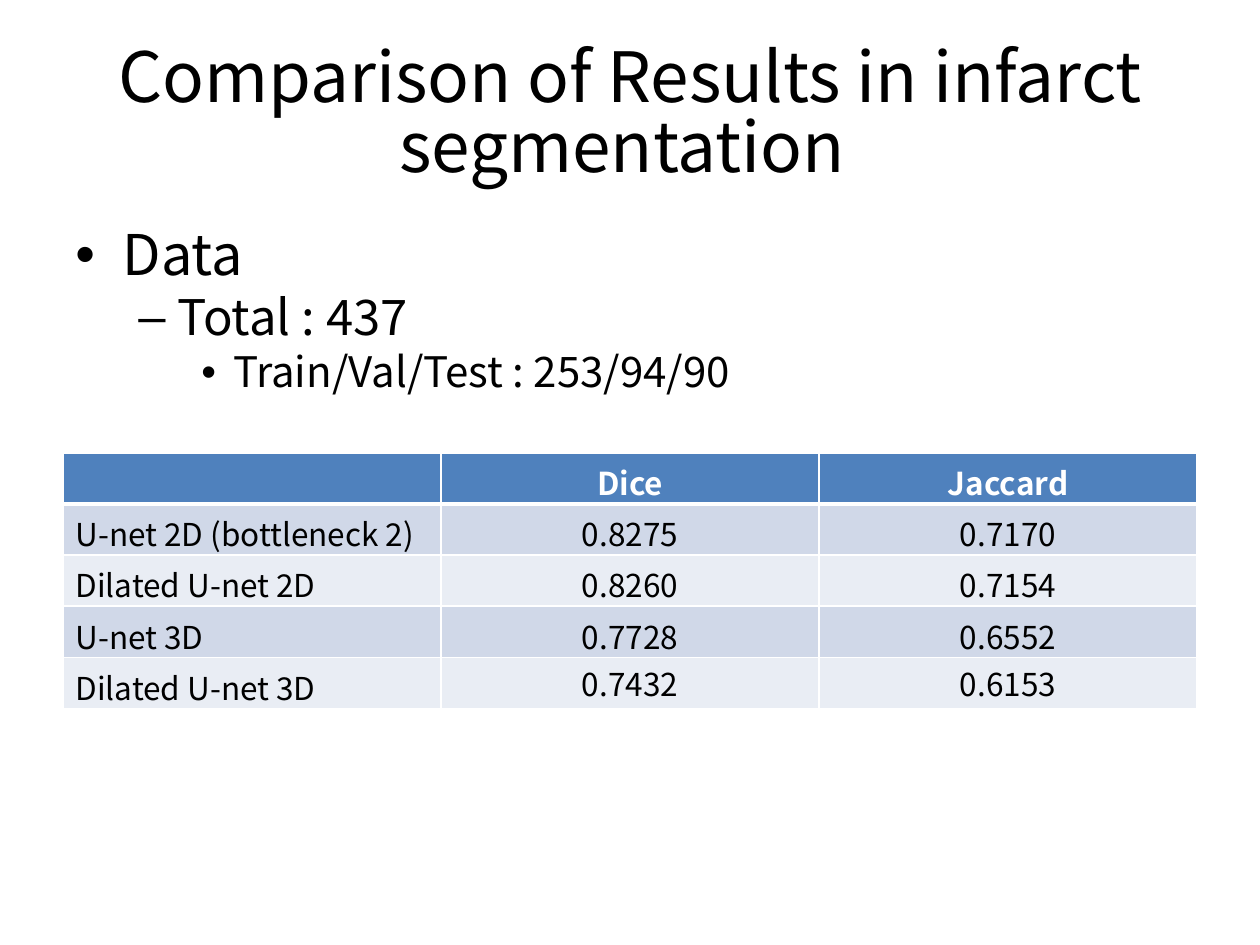
from lxml import etree
from pptx import Presentation, util as u
from pptx.dml.color import RGBColor
from pptx.enum import text
from pptx.oxml.ns import qn

ALIGN, ANCHOR = text.PP_ALIGN, text.MSO_ANCHOR


def rgb(value):
    return RGBColor.from_string(value)


class Deck:
    """Holds the style and the current slide, and draws its elements."""

    font, ink, paper, head = "Noto Sans CJK KR", "000000", "FFFFFF", "4F81BD"
    bands = ("D0D8E8", "E9EDF4")

    def __init__(self, prs):
        self.s = prs.slides.add_slide(prs.slide_layouts[6])

    def style(self, p, size, color, bold=False, align=ALIGN.LEFT):
        p.alignment = align
        for r in p.runs:
            f = r.font
            f.size, f.bold, f.name = u.Pt(size), bold, self.font
            f.color.rgb = rgb(color)
            for tag in ("a:ea", "a:cs"):
                etree.SubElement(r._r.rPr, qn(tag), typeface=self.font)

    def box(self, x, y, w, h, anchor=ANCHOR.TOP):
        sp = self.s.shapes.add_textbox(u.Cm(x), u.Cm(y), u.Cm(w), u.Cm(h))
        tf = sp.text_frame
        tf.word_wrap, tf.vertical_anchor = True, anchor
        return tf

    def title(self, words, *place):
        tf = self.box(*place, ANCHOR.MIDDLE)
        tf.text = words
        p = tf.paragraphs[0]
        p.line_spacing = 0.84
        self.style(p, 39.6, self.ink, align=ALIGN.CENTER)

    def bullets(self, items, *place):
        tf = self.box(*place)
        tf.text = "\n".join(item[0] for item in items)
        for level, (p, item) in enumerate(zip(tf.paragraphs, items)):
            _, size, mark, left, hang = item
            p.level, p.line_spacing = level, 0.9
            p.space_before = u.Pt(3.2 if level else 0)
            self.style(p, size, self.ink)
            pPr = p._p.get_or_add_pPr()
            pPr.set("marL", str(u.Cm(left)))
            pPr.set("indent", str(-u.Cm(hang)))
            etree.SubElement(pPr, qn("a:buFont"), typeface="Arial")
            etree.SubElement(pPr, qn("a:buChar"), char=mark)

    def borders(self, cell, **widths):
        tcPr = cell._tc.get_or_add_tcPr()
        for i, side in enumerate("LRTB"):
            ln = etree.Element(qn("a:ln" + side), w=str(u.Pt(widths.get(side, 1))))
            fill = etree.SubElement(ln, qn("a:solidFill"))
            etree.SubElement(fill, qn("a:srgbClr"), val=self.paper)
            tcPr.insert(i, ln)

    def table(self, rows, x, y, w, h):
        gf = self.s.shapes.add_table(len(rows), len(rows[0]), u.Cm(x), u.Cm(y), u.Cm(w), u.Cm(h))
        for i, row in enumerate(rows):
            for j, words in enumerate(row):
                cell = gf.table.cell(i, j)
                cell.text = words
                cell.fill.solid()
                cell.fill.fore_color.rgb = rgb(self.bands[(i - 1) % 2] if i else self.head)
                self.style(cell.text_frame.paragraphs[0], 18, self.ink if i else self.paper,
                           not i, ALIGN.CENTER if j or not i else ALIGN.LEFT)
                if j and i == len(rows) - 1:
                    cell.vertical_anchor = ANCHOR.BOTTOM
                    cell.margin_left = cell.margin_right = u.Cm(0.08)
                    cell.margin_top = cell.margin_bottom = u.Cm(0.05)
                self.borders(cell, **({1: {"T": 3}, 0: {"B": 3}}.get(i, {})))


def main():
    prs = Presentation()
    prs.slide_width, prs.slide_height = u.Cm(25.4), u.Cm(19.05)
    deck = Deck(prs)
    deck.title("Comparison of Results in infarct segmentation ", 1.27, 0.76, 22.86, 3.18)
    deck.table([
        ("", "Dice", "Jaccard"),
        ("U-net 2D (bottleneck 2)", "0.8275", "0.7170"),
        ("Dilated U-net 2D", "0.8260", "0.7154"),
        ("U-net 3D", "0.7728", "0.6552"),
        ("Dilated U-net 3D", "0.7432", "0.6153"),
    ], 1.27, 9.13, 22.86, 5.15)
    deck.bullets([
        ("Data", 32, "•", 0.95, 0.95),
        ("Total : 437", 28, "–", 2.06, 0.79),
        ("Train/Val/Test : 253/94/90", 24, "•", 3.18, 0.64),
    ], 1.27, 4.45, 22.86, 12.57)
    prs.save("out.pptx")


if __name__ == "__main__":
    main()
